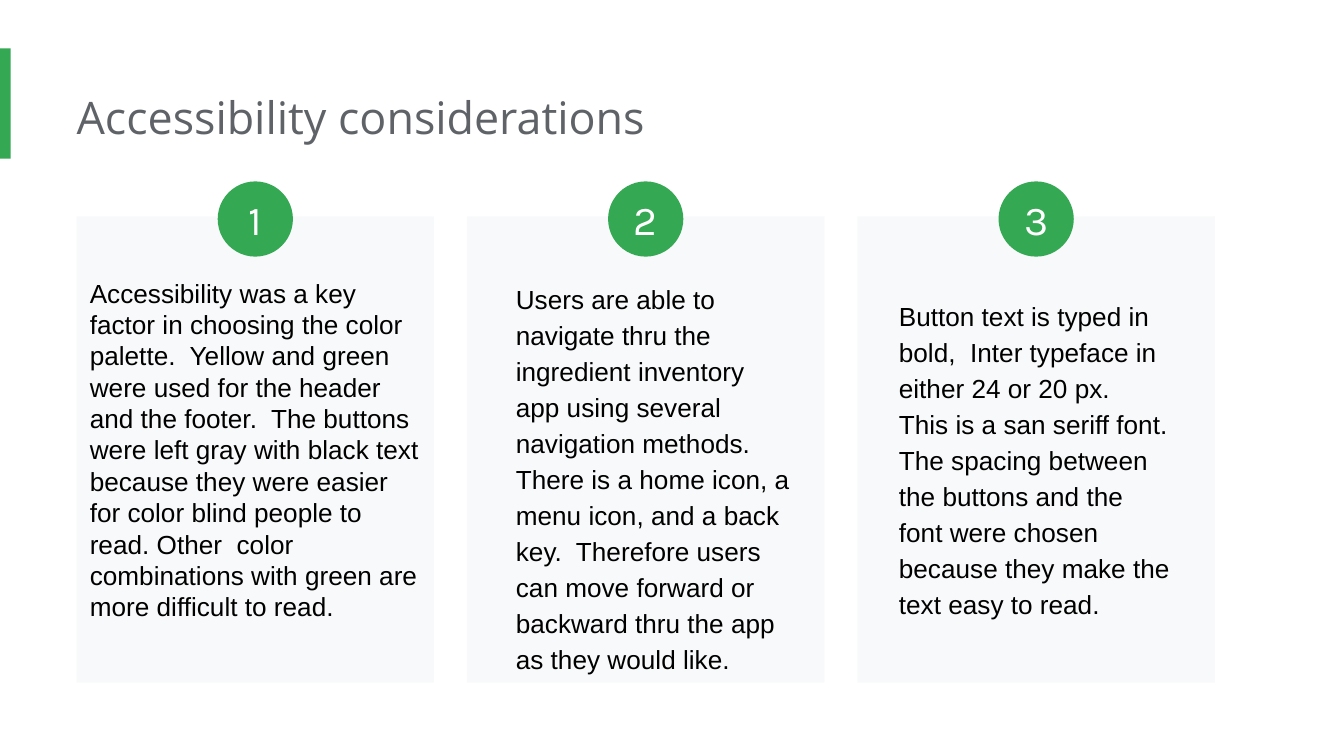
"""Build a slide with three numbered accessibility considerations."""
from dataclasses import dataclass
from typing import Optional

from pptx import Presentation
from pptx.dml.color import RGBColor
from pptx.enum import shapes, text
from pptx.util import Inches, Pt


@dataclass(frozen=True)
class Theme:
    """Colours, fonts and type sizes of the slide."""
    green: str = "34A853"
    card: str = "F8F9FA"
    heading: str = "5F6368"
    black: str = "000000"
    white: str = "FFFFFF"
    title_font: str = "Open Sans"
    body_font: str = "Arial"
    number_font: str = "Karla"
    title_size: int = 24
    body_size: int = 14
    number_size: int = 22


@dataclass(frozen=True)
class Box:
    """A rectangle in inches."""
    left: float
    top: float
    width: float
    height: float

    def lengths(self) -> tuple:
        """Return the position and size as lengths."""
        return tuple(Inches(n) for n in (self.left, self.top, self.width, self.height))


@dataclass(frozen=True)
class Consideration:
    """A card's wording and, if it has one, its separate text box."""
    wording: str
    text_box: Optional[Box] = None


CONSIDERATIONS = (
    Consideration(
        "Accessibility was a key factor in choosing the color palette.  Yellow and green "
        "were used for the header and the footer.  The buttons were left gray with black "
        "text because they were easier for color blind people to read. Other  color "
        "combinations with green are more difficult to read."),
    Consideration(
        "Users are able to navigate thru the ingredient inventory app using several "
        "navigation methods.  There is a home icon, a menu icon, and a back key.  "
        "Therefore users can move forward or backward thru the app as they would like.",
        Box(3.74, 1.97, 2.24, 3.18)),
    Consideration(
        "Button text is typed in bold,  Inter typeface in either 24 or 20 px.  This is a "
        "san seriff font. The spacing between the buttons and the font were chosen "
        "because they make the text easy to read.",
        Box(6.59, 2.1, 2.24, 2.64)),
)

THEME = Theme()
MARGIN, LAST_CARD_LEFT = 0.57, 6.38
CARD_TOP, CARD_WIDTH, CARD_HEIGHT = 1.61, 2.66, 3.47
CARD_PITCH = (LAST_CARD_LEFT - MARGIN) / (len(CONSIDERATIONS) - 1)
BADGE_TOP, BADGE_SIZE = 1.35, 0.56


def write(shape, wording: str, font: str, size: int, color: str, inset: float = 0.1,
          anchor=text.MSO_ANCHOR.TOP, align=text.PP_ALIGN.LEFT, spacing: float = 1.0) -> None:
    """Fill a shape's text frame with one formatted paragraph."""
    frame = shape.text_frame
    frame.word_wrap = True
    frame.auto_size = text.MSO_AUTO_SIZE.NONE
    frame.vertical_anchor = anchor
    frame.margin_left = frame.margin_right = Inches(inset)
    frame.margin_top = frame.margin_bottom = Inches(inset)
    paragraph = frame.paragraphs[0]
    paragraph.alignment = align
    paragraph.line_spacing = spacing
    run = paragraph.add_run()
    run.text = wording
    run.font.name = font
    run.font.size = Pt(size)
    run.font.color.rgb = RGBColor.from_string(color)


def add_block(slide, kind, box: Box, color: str):
    """Add a flat filled shape without outline or shadow."""
    shape = slide.shapes.add_shape(kind, *box.lengths())
    shape.shadow.inherit = False
    shape.fill.solid()
    shape.fill.fore_color.rgb = RGBColor.from_string(color)
    shape.line.fill.background()
    return shape


def add_title(slide, wording: str) -> None:
    """Place and format the title placeholder."""
    title = slide.shapes.title
    title.left, title.top, title.width, title.height = Box(MARGIN, 0.57, 7.66, 0.61).lengths()
    write(title, wording, THEME.title_font, THEME.title_size, THEME.heading)
    title.text_frame.margin_left = 0


def add_card(slide, index: int, item: Consideration) -> None:
    """Draw one card with its text."""
    left = MARGIN + index * CARD_PITCH
    card = add_block(slide, shapes.MSO_SHAPE.RECTANGLE,
                     Box(left, CARD_TOP, CARD_WIDTH, CARD_HEIGHT), THEME.card)
    style = (item.wording, THEME.body_font, THEME.body_size, THEME.black)
    if item.text_box is None:
        write(card, *style, anchor=text.MSO_ANCHOR.MIDDLE)
    else:
        write(slide.shapes.add_textbox(*item.text_box.lengths()), *style, spacing=1.15)


def add_badge(slide, index: int) -> None:
    """Draw the numbered circle centred over a card."""
    left = MARGIN + index * CARD_PITCH + (CARD_WIDTH - BADGE_SIZE) / 2
    badge = add_block(slide, shapes.MSO_SHAPE.OVAL,
                      Box(left, BADGE_TOP, BADGE_SIZE, BADGE_SIZE), THEME.green)
    write(badge, str(index + 1), THEME.number_font, THEME.number_size, THEME.white,
          inset=0, anchor=text.MSO_ANCHOR.MIDDLE, align=text.PP_ALIGN.CENTER)


def main() -> None:
    """Build and save the presentation."""
    presentation = Presentation()
    presentation.slide_width = Inches(10)
    presentation.slide_height = presentation.slide_width * 9 // 16
    slide = presentation.slides.add_slide(presentation.slide_layouts.get_by_name("Title Only"))
    add_block(slide, shapes.MSO_SHAPE.RECTANGLE, Box(0, 0.36, 0.08, 0.82), THEME.green)
    add_title(slide, "Accessibility considerations")
    for index, item in enumerate(CONSIDERATIONS):
        add_card(slide, index, item)
    for index in range(len(CONSIDERATIONS)):
        add_badge(slide, index)
    presentation.save("out.pptx")


if __name__ == "__main__":
    main()
